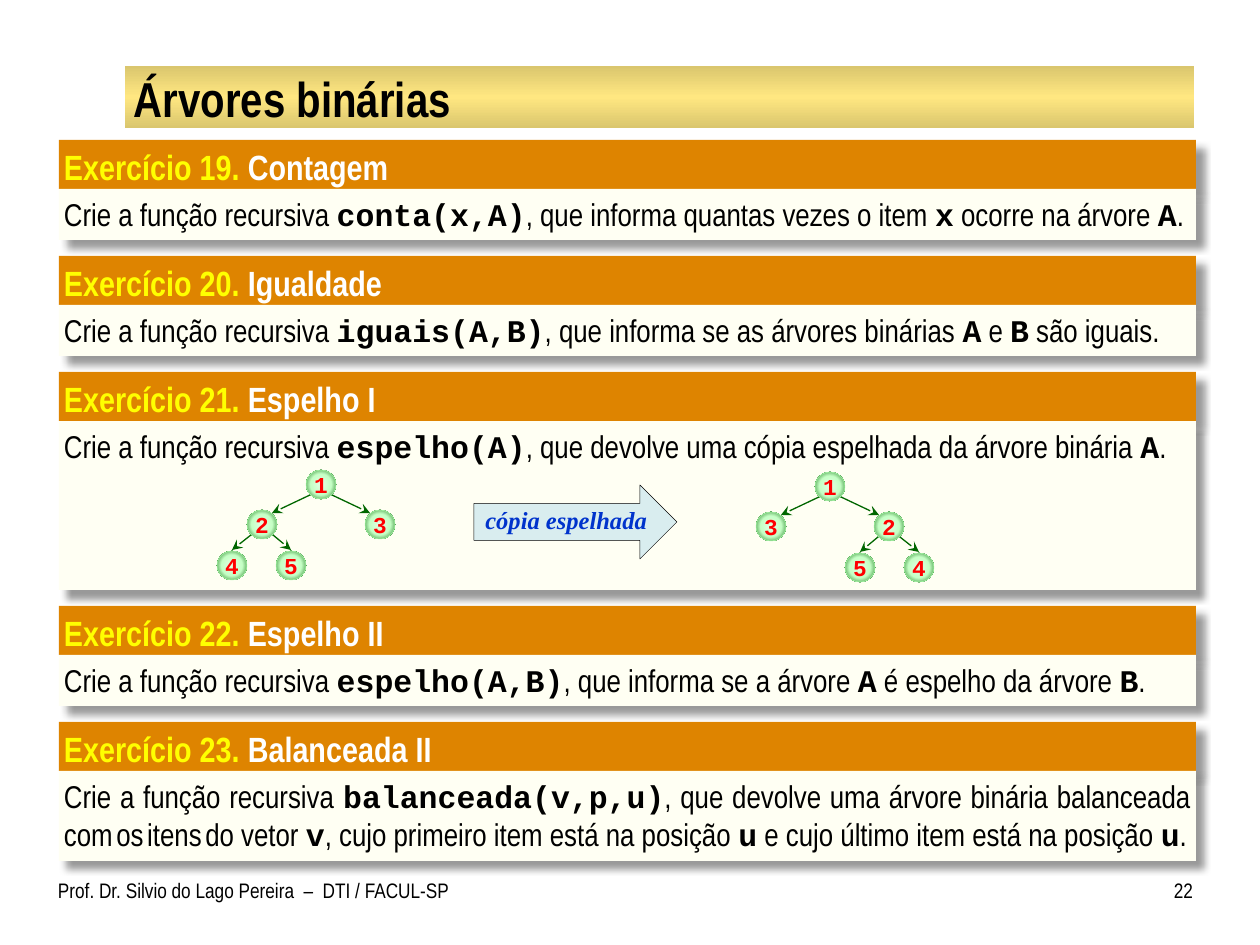
import pptx
import pptx.dml.color
import pptx.enum.shapes
import pptx.enum.text
import pptx.oxml
import pptx.oxml.ns
import pptx.util

RGB = pptx.dml.color.RGBColor
SHAPE = pptx.enum.shapes.MSO_SHAPE
ALIGN = pptx.enum.text.PP_ALIGN
ANCHOR = pptx.enum.text.MSO_ANCHOR
Pt = pptx.util.Pt

BLACK = RGB(0x00, 0x00, 0x00)
WHITE = RGB(0xFF, 0xFF, 0xFF)
YELLOW = RGB(0xFF, 0xFF, 0x00)
ORANGE = RGB(0xDE, 0x84, 0x00)
CREAM = RGB(0xFF, 0xFF, 0xF3)
GOLD = RGB(0xDA, 0xC6, 0x6E)
LIGHT_GOLD = RGB(0xFF, 0xE7, 0x81)
PALE_GREEN = RGB(0xE5, 0xFF, 0xE5)
SOFT_GREEN = RGB(0xC5, 0xFF, 0xC5)
RIM_GREEN = RGB(0xAF, 0xFF, 0xAF)
DARK_GREEN = RGB(0x00, 0x66, 0x00)
RED = RGB(0xFF, 0x00, 0x00)
BLUE = RGB(0x00, 0x33, 0xCC)
PALE_BLUE = RGB(0xD9, 0xED, 0xEF)

NARROW, MONO, SERIF = "Arial Narrow", "Courier New", "Times New Roman"

CARD_LEFT, CARD_WIDTH, CARDS_TOP = 59, 1137, 140
HEADER_HEIGHT, CARD_GAP = 49, 16
NODE_WIDTH, NODE_HEIGHT = 30, 29

# Backticks enclose code; a space between bars is a half-size space.
EXERCISES = [
    ("Exercício 19.", " Contagem", 51,
     "Crie a função recursiva `conta(x,A)`, que informa quantas vezes "
     "o item `x` ocorre na árvore `A`."),
    ("Exercício 20.", " Igualdade", 51,
     "Crie a função recursiva `iguais(A,B)`, que informa se as árvores "
     "binárias `A` e `B` são iguais."),
    ("Exercício 21.", " Espelho I", 169,
     "Crie a função recursiva `espelho(A)`, que devolve uma cópia "
     "espelhada da árvore binária `A`."),
    ("Exercício 22.", " Espelho II", 51,
     "Crie a função recursiva `espelho(A,B)`, que informa se a árvore "
     "`A` é espelho da árvore `B`."),
    ("Exercício 23.", " Balanceada II", 90,
     "Crie a função recursiva `balanceada(v,p,u)`, que devolve uma árvore "
     "binária balanceada com| |os| |itens| |do vetor `v`, cujo primeiro item "
     "está na posição `u` e cujo último item está na posição `u`."),
]

# Offsets of each node from the root
NODES = {"4": (-89, 81), "5": (-30, 81), "2": (-59, 40), "3": (59, 40), "1": (0, 0)}
EDGES = [("1", "2"), ("1", "3"), ("2", "4"), ("2", "5")]


def px(length):
    return pptx.util.Emu(round(length * 914400 / 126))


def xml(tag, content):
    return pptx.oxml.parse_xml(
        f'<a:{tag} {pptx.oxml.ns.nsdecls("a")}>{content}</a:{tag}>')


def set_font(font, name, size, color, bold=False, italic=False):
    font.name, font.size = name, Pt(size)
    font.bold, font.italic = bold, italic
    font.color.rgb = color


def set_frame(shape, insets, anchor=ANCHOR.TOP, wrap=True):
    """Sets insets (left, top, right, bottom) and returns the first paragraph."""
    frame = shape.text_frame
    frame.margin_left, frame.margin_top, frame.margin_right, frame.margin_bottom = map(px, insets)
    frame.vertical_anchor = anchor
    frame.word_wrap = wrap
    return frame.paragraphs[0]


def add_run(paragraph, text):
    run = paragraph.add_run()
    run.text = text
    return run.font


def add_shape(slide, kind, box, fill=None, line=None):
    shape = slide.shapes.add_shape(kind, *map(px, box))
    shape.shadow.inherit = False
    if fill is not None:
        shape.fill.solid()
        shape.fill.fore_color.rgb = fill
    if line is None:
        shape.line.fill.background()
    else:
        shape.line.color.rgb = line
        shape.line.width = Pt(0.25)
    return shape


def set_gradient(shape, colors, direction):
    """Spreads the colours evenly; direction is the a:lin or a:path element."""
    shape.fill.gradient()
    old = shape._element.spPr.find(pptx.oxml.ns.qn("a:gradFill"))
    step = 100000 // (len(colors) - 1)
    stops = "".join(f'<a:gs pos="{i * step}"><a:srgbClr val="{color}"/></a:gs>'
                    for i, color in enumerate(colors))
    old.getparent().replace(old, xml("gradFill", f"<a:gsLst>{stops}</a:gsLst>{direction}"))


def add_drop_shadow(shape):
    effects = shape._element.spPr.find(pptx.oxml.ns.qn("a:effectLst"))
    shadow = (f'<a:outerShdw blurRad="{Pt(4)}" dist="{Pt(6)}" dir="2700000" algn="tl" '
              f'rotWithShape="0"><a:srgbClr val="{BLACK}"><a:alpha val="40000"/>'
              '</a:srgbClr></a:outerShdw>')
    effects.getparent().replace(effects, xml("effectLst", shadow))


def add_label(slide, box, text, size, insets, align=ALIGN.LEFT, anchor=ANCHOR.TOP, bold=False):
    label = slide.shapes.add_textbox(*map(px, box))
    paragraph = set_frame(label, insets, anchor)
    paragraph.text = text
    paragraph.alignment = align
    set_font(paragraph.font, NARROW, size, BLACK, bold)


def add_title(slide):
    bar = add_shape(slide, SHAPE.RECTANGLE, (125, 66, 1069, 62))
    set_gradient(bar, [GOLD, LIGHT_GOLD, GOLD], '<a:lin ang="5400000" scaled="0"/>')
    add_label(slide, (126, 68, 1067, 59), "Árvores binárias", 28, (8, 1, 8, 1),
              anchor=ANCHOR.MIDDLE, bold=True)


def add_statement(paragraph, statement):
    paragraph.alignment = ALIGN.JUSTIFY
    paragraph.space_before = Pt(6)
    for i, part in enumerate(statement.split("`")):
        if i % 2:
            set_font(add_run(paragraph, part), MONO, 18, BLACK, bold=True)
            continue
        for piece in part.split("|"):
            set_font(add_run(paragraph, piece), NARROW, 9 if piece == " " else 18, BLACK)


def add_exercise(slide, top, number, name, body_height, statement):
    header = add_shape(slide, SHAPE.RECTANGLE,
                       (CARD_LEFT, top, CARD_WIDTH, HEADER_HEIGHT), ORANGE)
    add_drop_shadow(header)
    heading = set_frame(header, (5, 6, 13, 6))
    heading.alignment = ALIGN.LEFT
    for text, color in ((number, YELLOW), (name, WHITE)):
        set_font(add_run(heading, text), NARROW, 20, color, bold=True)

    body = add_shape(slide, SHAPE.RECTANGLE,
                     (CARD_LEFT, top + HEADER_HEIGHT, CARD_WIDTH, body_height), CREAM)
    add_drop_shadow(body)
    add_statement(set_frame(body, (5, 6, 5, 6)), statement)


def add_edge(slide, start, end):
    edge = slide.shapes.add_connector(
        pptx.enum.shapes.MSO_CONNECTOR.STRAIGHT, *map(px, (*start, *end)))
    edge.line.color.rgb = DARK_GREEN
    edge.line.width = Pt(0.75)
    edge.line._get_or_add_ln().append(
        pptx.oxml.parse_xml(f'<a:tailEnd {pptx.oxml.ns.nsdecls("a")} type="stealth"/>'))
    edge._element.spPr.append(xml("effectLst", ""))


def add_node(slide, x, y, value):
    node = add_shape(slide, SHAPE.OVAL, (x - NODE_WIDTH // 2, y - NODE_HEIGHT // 2,
                                         NODE_WIDTH, NODE_HEIGHT), line=RIM_GREEN)
    set_gradient(node, [PALE_GREEN, SOFT_GREEN, DARK_GREEN],
                 '<a:path path="circle"><a:fillToRect l="50000" t="50000" '
                 'r="50000" b="50000"/></a:path>')
    paragraph = set_frame(node, (0, 0, 0, 0), ANCHOR.MIDDLE, wrap=False)
    paragraph.text = value
    paragraph.alignment = ALIGN.CENTER
    set_font(paragraph.font, MONO, 13, RED, bold=True)


def add_tree(slide, root_x, root_y, side):
    """Draws the tree; side -1 mirrors it."""
    centers = {value: (root_x + side * dx, root_y + dy) for value, (dx, dy) in NODES.items()}
    for parent, child in EDGES:
        (x1, y1), (x2, y2) = centers[parent], centers[child]
        toward = 1 if x2 > x1 else -1
        inset_x, inset_y = (10, 11) if parent == "1" else (0, 15)
        add_edge(slide, (x1 + toward * 11, y1 + 11), (x2 - toward * inset_x, y2 - inset_y))
    for value, (x, y) in centers.items():
        add_node(slide, x, y, value)


def add_mirror_arrow(slide):
    arrow = add_shape(slide, SHAPE.RIGHT_ARROW, (474, 485, 203, 74), PALE_BLUE, BLACK)
    paragraph = set_frame(arrow, (5, 6, 5, 10), ANCHOR.MIDDLE, wrap=False)
    paragraph.text = "cópia espelhada"
    paragraph.alignment = ALIGN.CENTER
    set_font(paragraph.font, SERIF, 14, BLUE, bold=True, italic=True)


def main():
    deck = pptx.Presentation()
    deck.slide_width, deck.slide_height = px(1260), px(945)
    slide = deck.slides.add_slide(deck.slide_layouts[6])

    add_title(slide)
    top = CARDS_TOP
    for number, name, body_height, statement in EXERCISES:
        add_exercise(slide, top, number, name, body_height, statement)
        top += HEADER_HEIGHT + body_height + CARD_GAP
    add_tree(slide, 321, 484, side=1)
    add_tree(slide, 830, 486, side=-1)
    add_mirror_arrow(slide)
    add_label(slide, (58, 872, 412, 53),
              "Prof. Dr. Silvio do Lago Pereira  –  DTI / FACUL-SP", 12, (0, 6, 13, 6))
    add_label(slide, (1144, 872, 49, 53), "22", 12, (13, 6, 0, 6), ALIGN.RIGHT)
    deck.save("out.pptx")


if __name__ == "__main__":
    main()
